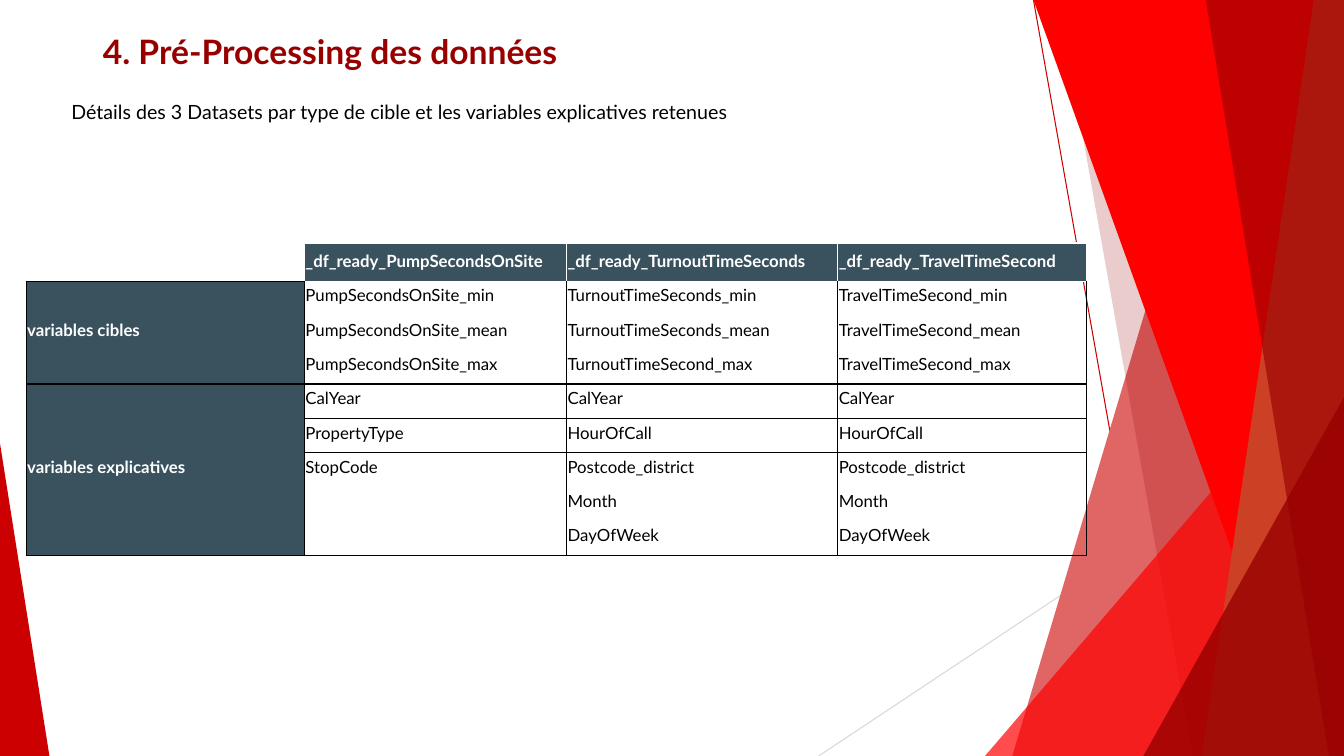
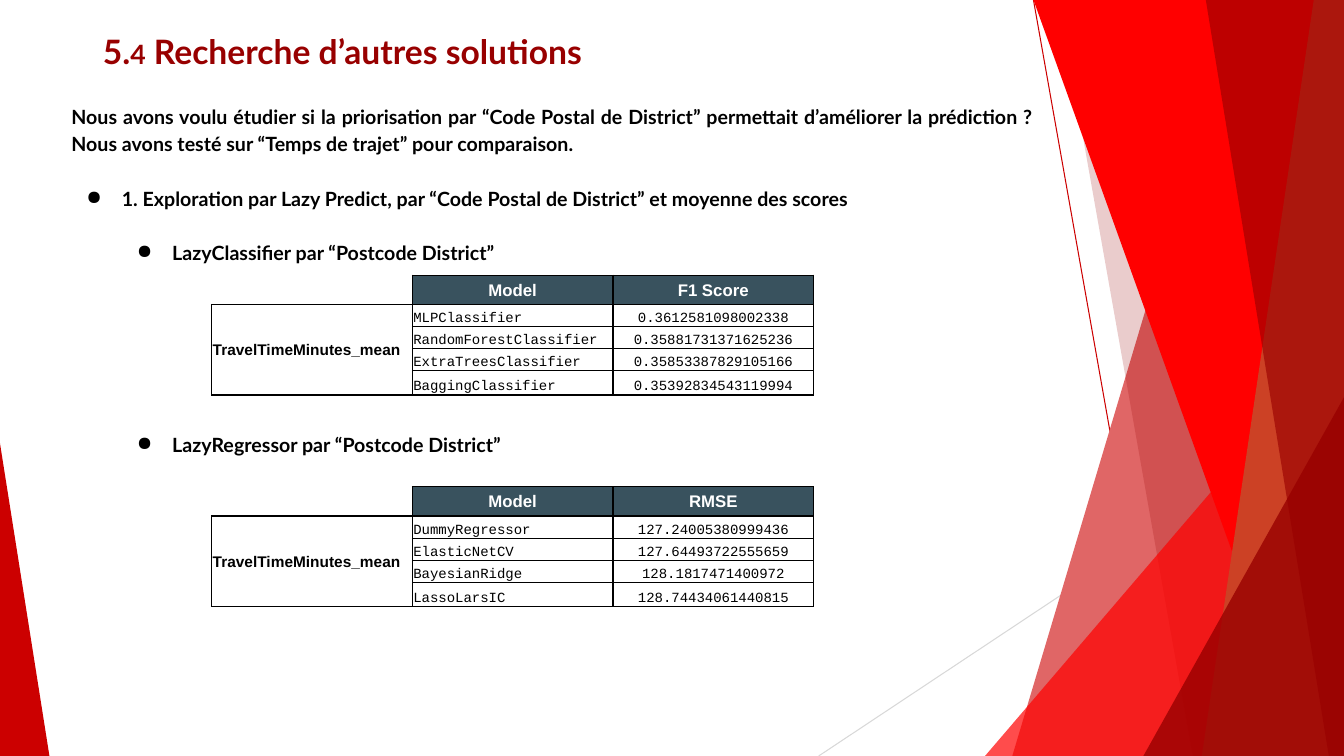
from dataclasses import dataclass

from lxml.etree import SubElement
from pptx import Presentation
from pptx.dml.color import RGBColor
from pptx.enum.shapes import MSO_CONNECTOR, MSO_SHAPE
from pptx.enum.text import MSO_ANCHOR, MSO_AUTO_SIZE, PP_ALIGN
from pptx.oxml.ns import qn
from pptx.util import Inches, Pt

WIDTH, HEIGHT = 13.33, 7.5
FONT = "Lato"
BLACK, WHITE, SLATE = "000000", "FFFFFF", "39525E"
DARK_RED, RED, CRIMSON = "980000", "FF0000", "CC0000"
ROSE, RUST, GREY = "E06666", "CC4125", "D8D8D8"
NO_STYLE = "{2D5ABB26-0587-4C30-8999-92F81FD0307C}"


def rgb(value):
    """Turn a hex string into a colour."""
    return RGBColor.from_string(value)


@dataclass
class CellStyle:
    """Text, fill and border style of a table cell."""
    font: str = FONT
    size: int = 12
    colour: str = BLACK
    bold: bool = False
    fill: str = ""
    align: PP_ALIGN = PP_ALIGN.LEFT
    anchor: MSO_ANCHOR = MSO_ANCHOR.BOTTOM
    border: str = BLACK


@dataclass
class TableStyle:
    """Cell styles by role, and the spacing of a table."""
    header: CellStyle
    label: CellStyle
    columns: list
    bottom: float
    spacing: float


class DeckBuilder:
    """Holds the deck, its shared style and the current slide."""

    def __init__(self):
        """Create the deck and its decorated title-only layout."""
        self.deck = Presentation()
        self.deck.slide_width = Inches(WIDTH)
        self.deck.slide_height = Inches(HEIGHT)
        self.layout = self.deck.slide_layouts[5]
        self.slide = None

    def add_slide(self, title_runs):
        """Add a slide whose title is made of (text, size) runs."""
        first = self.slide is None
        self.slide = self.deck.slides.add_slide(self.layout)
        if first:
            self.decorate_layout()
        title = self.slide.shapes.title
        title.left, title.top = Inches(0.92), Inches(0)
        title.width, title.height = Inches(11.5), Inches(1.07)
        frame = title.text_frame
        frame.auto_size = MSO_AUTO_SIZE.NONE
        frame.vertical_anchor = MSO_ANCHOR.MIDDLE
        para = frame.paragraphs[0]
        para.alignment = PP_ALIGN.LEFT
        para.line_spacing = 0.9
        for text, size in title_runs:
            self.span(para, text, size, DARK_RED, True)

    def decorate_layout(self):
        """Draw the red facets once and move them into the layout."""
        for holder in list(self.layout.placeholders):
            if holder.placeholder_format.idx:
                holder.element.getparent().remove(holder.element)
        facets = [
            self.line(10.25, 0, 11.58, HEIGHT, CRIMSON),
            self.line(WIDTH, 4.04, 8.12, HEIGHT, GREY),
            self.band(12.28, 10.04, ROSE),
            self.band(10.5, 11.83, DARK_RED, 20),
            self.triangle(9.77, 3.34, 3.56, 1, RED, 70),
            self.band(10.25, 12.95, RED),
            self.band(13.03, 11.92, RUST),
            self.band(11.96, 13.18, DARK_RED, 63),
            self.triangle(11.34, 3.94, 1.99, 1, DARK_RED, 80),
            self.triangle(0, 4.4, 0.49, 0, CRIMSON),
        ]
        tree = self.layout.shapes.element
        for index, facet in enumerate(facets, 2):
            tree.insert(index, facet.element)

    def line(self, x1, y1, x2, y2, colour):
        """Draw a thin straight line."""
        line = self.slide.shapes.add_connector(
            MSO_CONNECTOR.STRAIGHT, Inches(x1), Inches(y1), Inches(x2), Inches(y2))
        line.line.color.rgb = rgb(colour)
        line.line.width = Pt(0.75)
        SubElement(line.element.spPr, qn("a:effectLst"))
        return line

    def band(self, top_x, bottom_x, colour, opacity=100):
        """Draw a full-height band from a slanted edge to the right side."""
        builder = self.slide.shapes.build_freeform(Inches(top_x), Inches(0))
        corners = [(WIDTH, 0), (WIDTH, HEIGHT), (bottom_x, HEIGHT)]
        builder.add_line_segments([(Inches(x), Inches(y)) for x, y in corners])
        return self.paint(builder.convert_to_shape(), colour, opacity)

    def triangle(self, left, top, width, apex, colour, opacity=100):
        """Draw a triangle standing on the bottom edge of the slide."""
        shape = self.slide.shapes.add_shape(
            MSO_SHAPE.ISOSCELES_TRIANGLE, Inches(left), Inches(top),
            Inches(width), Inches(HEIGHT - top))
        shape.adjustments[0] = apex
        return self.paint(shape, colour, opacity)

    def paint(self, shape, colour, opacity):
        """Give a shape a flat fill with no line or shadow."""
        shape.shadow.inherit = False
        shape.line.fill.background()
        shape.fill.solid()
        shape.fill.fore_color.rgb = rgb(colour)
        if opacity < 100:
            for tint in shape.element.spPr.find(qn("a:solidFill")):
                SubElement(tint, qn("a:alpha"), val=str(opacity * 1000))
        return shape

    def span(self, para, text, size, colour=BLACK, bold=False, font=FONT):
        """Add one formatted run to a paragraph."""
        span = para.add_run()
        span.text = text
        span.font.name, span.font.size, span.font.bold = font, Pt(size), bold
        span.font.color.rgb = rgb(colour)

    def body(self, height, spacing, items, bold=False):
        """Add the body text from (text, bullet indent, space before) items."""
        box = self.slide.shapes.add_textbox(
            Inches(0.61), Inches(0.96), Inches(9.74), Inches(height))
        frame = box.text_frame
        frame.word_wrap = True
        for index, (text, indent, before) in enumerate(items):
            para = frame.add_paragraph() if index else frame.paragraphs[0]
            para.alignment = PP_ALIGN.JUSTIFY
            para.line_spacing = spacing
            if before:
                para.space_before = Pt(before)
            if indent:
                props = para._p.get_or_add_pPr()
                props.set("marL", str(Inches(indent)))
                props.set("indent", str(Inches(-0.35)))
                SubElement(props, qn("a:buChar"), char="●")
            self.span(para, text, 14, bold=bold)

    def table(self, left, top, widths, heights, rows, groups, edges, style):
        """Add a table; groups are (first, last) rows, edges the body borders."""
        frame = self.slide.shapes.add_table(
            len(rows), len(widths), Inches(left), Inches(top),
            Inches(sum(widths)), Inches(sum(heights)))
        for tag in frame.element.iter(qn("a:tableStyleId")):
            tag.text = NO_STYLE
        table = frame.table
        for column, width in zip(table.columns, widths):
            column.width = Inches(width)
        for row, height in zip(table.rows, heights):
            row.height = Inches(height)
        for r, texts in enumerate(rows):
            for c, text in enumerate(texts):
                if r == 0:
                    cell_style, sides = style.header, "LRTB"
                elif c == 0:
                    cell_style, sides = style.label, "LRTB"
                else:
                    cell_style, sides = style.columns[c - 1], edges[r - 1]
                if c == 0 and not text:
                    cell_style, sides = CellStyle(), ""
                self.cell(table.cell(r, c), text, cell_style, sides, style)
        for first, last in groups:
            table.cell(first, 0).merge(table.cell(last, 0))

    def cell(self, cell, text, look, sides, style):
        """Fill one table cell and draw its borders."""
        cell.margin_left = cell.margin_right = cell.margin_top = Inches(0.01)
        cell.margin_bottom = Inches(style.bottom)
        cell.vertical_anchor = look.anchor
        if look.fill:
            cell.fill.solid()
            cell.fill.fore_color.rgb = rgb(look.fill)
        else:
            cell.fill.background()
        para = cell.text_frame.paragraphs[0]
        para.alignment = look.align
        para.line_spacing = style.spacing
        if text:
            self.span(para, text, look.size, look.colour, look.bold, look.font)
        else:
            SubElement(para._p, qn("a:endParaRPr"), sz="1000")
        props = cell._tc.get_or_add_tcPr()
        for index, side in enumerate(sides):
            line = SubElement(props, qn(f"a:ln{side}"), w=str(Pt(1)))
            fill = SubElement(line, qn("a:solidFill"))
            SubElement(fill, qn("a:srgbClr"), val=look.border)
            props.insert(index, line)


def add_datasets(builder):
    """Build the slide that lists the three datasets."""
    builder.add_slide([("4. Pré-Processing des données", 24)])
    label = CellStyle(colour=WHITE, bold=True, fill=SLATE, anchor=MSO_ANCHOR.MIDDLE)
    header = CellStyle(colour=WHITE, bold=True, fill=SLATE, border=WHITE)
    style = TableStyle(header, label, [CellStyle()] * 3, 0.1, 1.15)
    rows = [
        ("", "_df_ready_PumpSecondsOnSite", "_df_ready_TurnoutTimeSeconds",
         "_df_ready_TravelTimeSecond"),
        ("variables cibles", "PumpSecondsOnSite_min", "TurnoutTimeSeconds_min",
         "TravelTimeSecond_min"),
        ("", "PumpSecondsOnSite_mean", "TurnoutTimeSeconds_mean", "TravelTimeSecond_mean"),
        ("", "PumpSecondsOnSite_max", "TurnoutTimeSecond_max", "TravelTimeSecond_max"),
        ("variables explicatives", "CalYear", "CalYear", "CalYear"),
        ("", "PropertyType", "HourOfCall", "HourOfCall"),
        ("", "StopCode", "Postcode_district", "Postcode_district"),
        ("", "", "Month", "Month"),
        ("", "", "DayOfWeek", "DayOfWeek"),
    ]
    edges = ["LR", "LR", "LRB", "LRTB", "LRT", "LR", "LR", "LRB"]
    builder.table(0.26, 2.41, [2.76, 2.6, 2.69, 2.47], [0.38] + [0.34] * 8,
                  rows, [(1, 3), (4, 8)], edges, style)
    builder.body(0.61, 0.95, [
        ("Détails des 3 Datasets par type de cible et les variables explicatives retenues",
         0, 0)])


def add_solutions(builder):
    """Build the slide that compares models by postcode district."""
    builder.add_slide([("5.", 24), ("4", 19), (" Recherche d’autres solutions", 24)])
    builder.body(6.5, 1.15, [
        ("Nous avons voulu étudier si la priorisation par “Code Postal de District” "
         "permettait d’améliorer la prédiction ? Nous avons testé sur “Temps de trajet” "
         "pour comparaison.", 0, 0),
        ("1. Exploration par Lazy Predict, par “Code Postal de District” et moyenne "
         "des scores", 0.5, 19.6),
        ("LazyClassifier par “Postcode District”", 1, 19.6),
        ("LazyRegressor par “Postcode District”", 1, 117.6),
    ], bold=True)
    middle, center = MSO_ANCHOR.MIDDLE, PP_ALIGN.CENTER
    style = TableStyle(
        CellStyle("Arial", 12, WHITE, True, SLATE, center, middle),
        CellStyle("Arial", 11, bold=True, anchor=middle),
        [CellStyle("Courier New", 10), CellStyle("Courier New", 10, align=center)],
        0, 1.0)
    results = [
        (2.73, "F1 Score", [
            ("MLPClassifier", "0.3612581098002338"),
            ("RandomForestClassifier", "0.35881731371625236"),
            ("ExtraTreesClassifier", "0.35853387829105166"),
            ("BaggingClassifier", "0.35392834543119994")]),
        (4.83, "RMSE", [
            ("DummyRegressor", "127.24005380999436"),
            ("ElasticNetCV", "127.64493722555659"),
            ("BayesianRidge", "128.1817471400972"),
            ("LassoLarsIC", "128.74434061440815")]),
    ]
    for top, metric, scores in results:
        labels = ["TravelTimeMinutes_mean", "", "", ""]
        rows = [("", "Model", metric)]
        rows += [(label, *score) for label, score in zip(labels, scores)]
        builder.table(2.1, top, [1.99] * 3, [0.29, 0.22, 0.22, 0.22, 0.24],
                      rows, [(1, 4)], ["LRTB"] * 4, style)


def main():
    """Build and save the deck."""
    builder = DeckBuilder()
    add_datasets(builder)
    add_solutions(builder)
    builder.deck.save("out.pptx")


if __name__ == "__main__":
    main()
